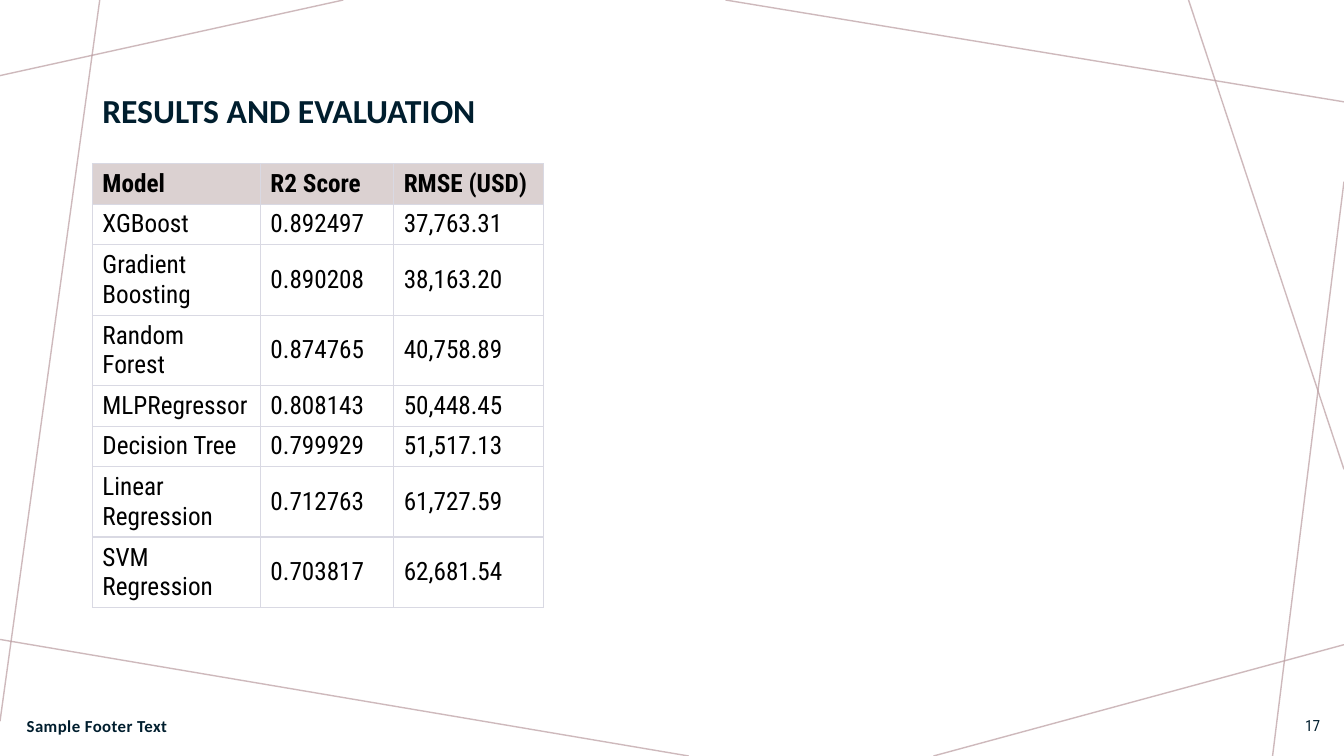
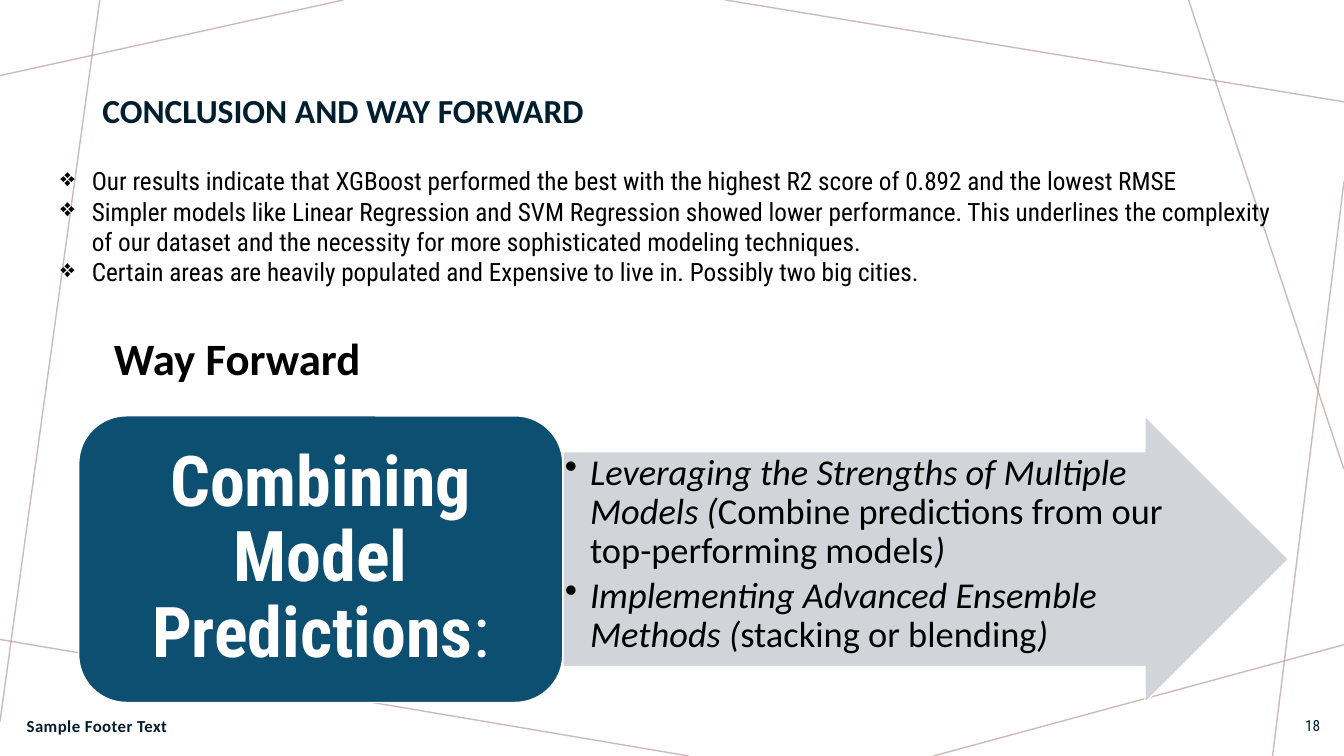
from dataclasses import dataclass

from lxml.etree import SubElement
from pptx import Presentation
from pptx.dml.color import RGBColor
from pptx.enum.shapes import MSO_CONNECTOR, MSO_SHAPE
from pptx.enum.text import MSO_ANCHOR, PP_ALIGN
from pptx.oxml.ns import qn
from pptx.util import Emu, Pt


def px(length):
    return Emu(length * 9525)


@dataclass(frozen=True)
class TextStyle:
    size: int
    font: str
    color: str
    bold: bool = False
    italic: bool = False
    spacing: int = 0


class Theme:
    heading_font = "Calibri"
    body_font = "Roboto Condensed"
    navy = "001E2E"
    black = "000000"
    white = "FFFFFF"
    rose = "BA9CA0"
    header_fill = "DBD1D1"
    grid = "D9D9E3"
    blue = "0D4F71"
    grey = "CCD1D7"

    title = TextStyle(24, heading_font, navy, bold=True)
    footer = TextStyle(12, heading_font, navy, bold=True, spacing=30)
    number = TextStyle(11, body_font, navy)
    body = TextStyle(18, body_font, black)
    table_head = TextStyle(18, body_font, black, bold=True)
    subheading = TextStyle(32, heading_font, black, bold=True)
    method = TextStyle(26, heading_font, black, italic=True)
    callout = TextStyle(50, body_font, white, bold=True)


BACKGROUND_LINES = [
    (327, 0, 0, 72),
    (95, 0, 0, 687),
    (656, 720, 0, 609),
    (1280, 614, 889, 720),
    (1280, 173, 1212, 720),
    (1280, 447, 1132, 0),
    (1280, 97, 691, 0),
]


class Deck:
    def __init__(self):
        self.presentation = Presentation()
        self.presentation.slide_width = px(1280)
        self.presentation.slide_height = px(720)
        self.slide = None

    def start_slide(self, title, number):
        self.slide = self.presentation.slides.add_slide(self.presentation.slide_layouts[6])
        for ends in BACKGROUND_LINES:
            self.line(*ends)
        self.text((88, 38, 1104, 139), [[title]], Theme.title, MSO_ANCHOR.MIDDLE, line_spacing=0.9)
        self.text((16, 672, 472, 38), [["Sample Footer Text"]], Theme.footer, MSO_ANCHOR.MIDDLE)
        self.text((1218, 672, 49, 38), [[str(number)]], Theme.number, MSO_ANCHOR.MIDDLE,
                  align=PP_ALIGN.RIGHT)

    def line(self, x1, y1, x2, y2):
        stroke = self.slide.shapes.add_connector(
            MSO_CONNECTOR.STRAIGHT, px(x1), px(y1), px(x2), px(y2))
        stroke.line.width = Pt(1)
        stroke.line.color.rgb = RGBColor.from_string(Theme.rose)
        self.set_opacity(stroke.line.fill, stroke, 70)
        SubElement(stroke.element.spPr, qn("a:effectLst"))

    def set_opacity(self, fill, shape, percent):
        color = next(shape.element.spPr.iter(qn("a:srgbClr")))
        SubElement(color, qn("a:alpha"), val=str(percent * 1000))

    def text(self, box, paragraphs, style, anchor=MSO_ANCHOR.TOP, **options):
        frame = self.slide.shapes.add_textbox(*map(px, box)).text_frame
        self.fill_frame(frame, paragraphs, style, anchor, **options)

    def shape(self, kind, box, fill, paragraphs, style, anchor, margins, opacity=100, **options):
        block = self.slide.shapes.add_shape(kind, *map(px, box))
        block.shadow.inherit = False
        block.fill.solid()
        block.fill.fore_color.rgb = RGBColor.from_string(fill)
        if opacity < 100:
            self.set_opacity(block.fill, block, opacity)
        block.line.color.rgb = RGBColor.from_string(Theme.white)
        block.line.width = Pt(1)
        frame = block.text_frame
        frame.margin_left = frame.margin_right = px(margins[0])
        frame.margin_top = frame.margin_bottom = px(margins[1])
        self.fill_frame(frame, paragraphs, style, anchor, **options)
        return block

    def fill_frame(self, frame, paragraphs, style, anchor, align=PP_ALIGN.LEFT,
                   line_spacing=None, space_after=None, bullet=None, indent=0):
        frame.word_wrap = True
        frame.vertical_anchor = anchor
        for index, segments in enumerate(paragraphs):
            paragraph = frame.paragraphs[0] if index == 0 else frame.add_paragraph()
            paragraph.alignment = align
            paragraph.line_spacing = line_spacing
            paragraph.space_after = space_after
            if bullet:
                properties = paragraph._p.get_or_add_pPr()
                properties.set("marL", str(px(indent)))
                properties.set("indent", str(px(-indent)))
                SubElement(properties, qn("a:buChar"), char=bullet)
            for position, segment in enumerate(segments):
                run = paragraph.add_run()
                run.text = segment
                self.style_run(run, style, emphasized=position % 2 == 0)

    def style_run(self, run, style, emphasized=True):
        run.font.size = Pt(style.size)
        run.font.name = style.font
        run.font.color.rgb = RGBColor.from_string(style.color)
        run.font.bold = style.bold and emphasized
        run.font.italic = style.italic and emphasized
        if style.spacing:
            run.font._element.set("spc", str(style.spacing))

    def table(self, left, top, column_widths, row_height, rows):
        grid = self.slide.shapes.add_table(
            len(rows), len(column_widths), px(left), px(top),
            px(sum(column_widths)), px(row_height * len(rows))).table
        grid.horz_banding = False
        for column, width in zip(grid.columns, column_widths):
            column.width = px(width)
        last = len(rows) - 1
        for r, values in enumerate(rows):
            grid.rows[r].height = px(row_height)
            for c, value in enumerate(values):
                cell = grid.cell(r, c)
                self.cell_borders(cell, 0.75 if r == 0 else 1, 0.75 if r == last else 1)
                cell.fill.solid()
                cell.fill.fore_color.rgb = RGBColor.from_string(
                    Theme.header_fill if r == 0 else Theme.white)
                cell.vertical_anchor = MSO_ANCHOR.BOTTOM if r == 0 else MSO_ANCHOR.MIDDLE
                cell.text_frame.text = value
                self.style_run(cell.text_frame.paragraphs[0].runs[0],
                               Theme.table_head if r == 0 else Theme.body)

    def cell_borders(self, cell, top, bottom):
        properties = cell._tc.get_or_add_tcPr()
        for side, width in (("L", 0.75), ("R", 0.75), ("T", top), ("B", bottom)):
            border = SubElement(properties, qn(f"a:ln{side}"), w=str(Pt(width)))
            fill = SubElement(border, qn("a:solidFill"))
            SubElement(fill, qn("a:srgbClr"), val=Theme.grid)

    def save(self):
        self.presentation.save("out.pptx")


MODEL_SCORES = [
    ("Model", "R2 Score", "RMSE (USD)"),
    ("XGBoost", "0.892497", "37,763.31"),
    ("Gradient Boosting", "0.890208", "38,163.20"),
    ("Random Forest", "0.874765", "40,758.89"),
    ("MLPRegressor", "0.808143", "50,448.45"),
    ("Decision Tree", "0.799929", "51,517.13"),
    ("Linear Regression", "0.712763", "61,727.59"),
    ("SVM Regression", "0.703817", "62,681.54"),
]

CONCLUSIONS = [
    ["Our results indicate that XGBoost performed the best with the highest R2 score of 0.892 "
     "and the lowest RMSE"],
    ["Simpler models like Linear Regression and SVM Regression showed lower performance. "
     "This underlines the complexity of our dataset and the necessity for more sophisticated "
     "modeling techniques."],
    ["Certain areas are heavily populated and Expensive to live in. Possibly two big cities."],
]

METHODS = [
    ["Leveraging the Strengths of Multiple Models (",
     "Combine predictions from our top-performing models", ")"],
    ["Implementing Advanced Ensemble Methods (", "stacking or blending", ")"],
]


def build_results(deck):
    deck.start_slide("RESULTS AND EVALUATION", 17)
    deck.table(88, 156, (160, 127, 143), 28, MODEL_SCORES)


def build_conclusion(deck):
    deck.start_slide("CONCLUSION AND WAY FORWARD", 18)
    deck.text((48, 153, 1183, 184), CONCLUSIONS, Theme.body, bullet="❖", indent=30)
    methods_arrow = deck.shape(
        MSO_SHAPE.RIGHT_ARROW, (536, 396, 691, 273), Theme.grey, METHODS, Theme.method,
        MSO_ANCHOR.TOP, (2, 2), opacity=90, line_spacing=0.9, space_after=Pt(4),
        bullet="•", indent=24)
    methods_arrow.adjustments[0] = 0.75
    deck.shape(
        MSO_SHAPE.ROUNDED_RECTANGLE, (75, 396, 461, 273), Theme.blue,
        [["Combining Model Predictions", ":"]], Theme.callout,
        MSO_ANCHOR.MIDDLE, (20, 10), align=PP_ALIGN.CENTER, line_spacing=0.9)
    deck.text((99, 310, 288, 61), [["Way Forward"]], Theme.subheading)


def main():
    deck = Deck()
    build_results(deck)
    build_conclusion(deck)
    deck.save()


if __name__ == "__main__":
    main()
